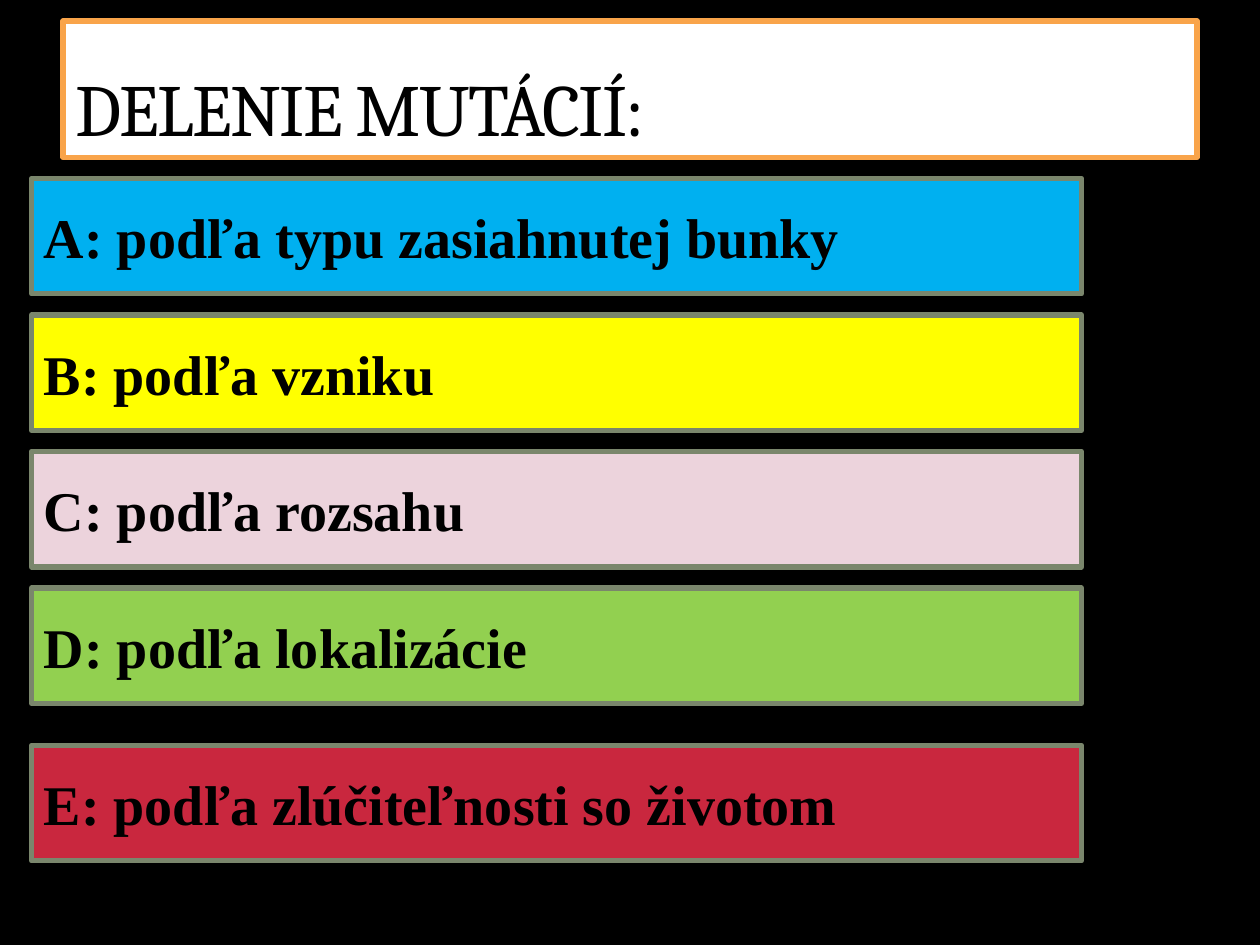
from dataclasses import dataclass

from pptx import Presentation
from pptx import util as u
from pptx.dml.color import RGBColor
from pptx.enum import shapes, text


@dataclass(frozen=True)
class Theme:
    background: str = "000000"
    ink: str = "000000"
    title_fill: str = "FFFFFF"
    title_line: str = "F9A44A"
    bar_line: str = "7A866C"
    line_width: float = 3
    title_font: str = "Cambria"
    title_size: int = 42
    bar_font: str = "Times New Roman"
    bar_size: int = 32


THEME = Theme()
CELL = u.Inches(1) // 12  # the slide is a grid of 120 columns by 90 rows
TITLE_BOX = (6, 2, 108, 13)
BAR_LEFT, BAR_WIDTH, BAR_HEIGHT = 3, 100, 11
FIRST_ROW, BAR_GAP, LAST_EXTRA_GAP = 17, 2, 2
BARS = [
    ("A: podľa typu zasiahnutej bunky", "00B0F0"),
    ("B: podľa vzniku", "FFFF00"),
    ("C: podľa rozsahu", "ECD3DC"),
    ("D: podľa lokalizácie", "92D050"),
    ("E: podľa zlúčiteľnosti so životom", "C9273E"),
]


def grid(box):
    """Turn columns and rows into lengths."""
    return [CELL * n for n in box]


def paint(sp, fill, line):
    sp.fill.solid()
    sp.fill.fore_color.rgb = RGBColor.from_string(fill)
    sp.line.color.rgb = RGBColor.from_string(line)
    sp.line.width = u.Pt(THEME.line_width)


def write(sp, words, font, size, anchor, bold=False, spacing=0):
    tf = sp.text_frame
    tf.word_wrap = True
    tf.auto_size = text.MSO_AUTO_SIZE.NONE
    tf.vertical_anchor = anchor
    p = tf.paragraphs[0]
    p.alignment = text.PP_ALIGN.LEFT
    r = p.add_run()
    r.text = words
    r.font.name, r.font.size, r.font.bold = font, u.Pt(size), bold
    r.font.color.rgb = RGBColor.from_string(THEME.ink)
    if spacing:
        r.font._element.set("spc", str(spacing * 100))


def add_title(slide, box, words):
    sp = slide.shapes.title
    sp.left, sp.top, sp.width, sp.height = grid(box)
    paint(sp, THEME.title_fill, THEME.title_line)
    write(sp, words, THEME.title_font, THEME.title_size,
          text.MSO_ANCHOR.BOTTOM, spacing=-1)


def add_bar(slide, box, words, fill):
    sp = slide.shapes.add_shape(shapes.MSO_SHAPE.RECTANGLE, *grid(box))
    sp.shadow.inherit = False
    paint(sp, fill, THEME.bar_line)
    write(sp, words, THEME.bar_font, THEME.bar_size,
          text.MSO_ANCHOR.MIDDLE, bold=True)


def main():
    prs = Presentation()
    prs.slide_width, prs.slide_height = grid((120, 90))
    slide = prs.slides.add_slide(prs.slide_layouts.get_by_name("Title Only"))
    slide.background.fill.solid()
    slide.background.fill.fore_color.rgb = RGBColor.from_string(THEME.background)

    add_title(slide, TITLE_BOX, "DELENIE MUTÁCIÍ:")
    for i, (words, fill) in enumerate(BARS):
        row = FIRST_ROW + i * (BAR_HEIGHT + BAR_GAP)
        if i == len(BARS) - 1:
            row += LAST_EXTRA_GAP
        add_bar(slide, (BAR_LEFT, row, BAR_WIDTH, BAR_HEIGHT), words, fill)
    prs.save("out.pptx")


if __name__ == "__main__":
    main()
